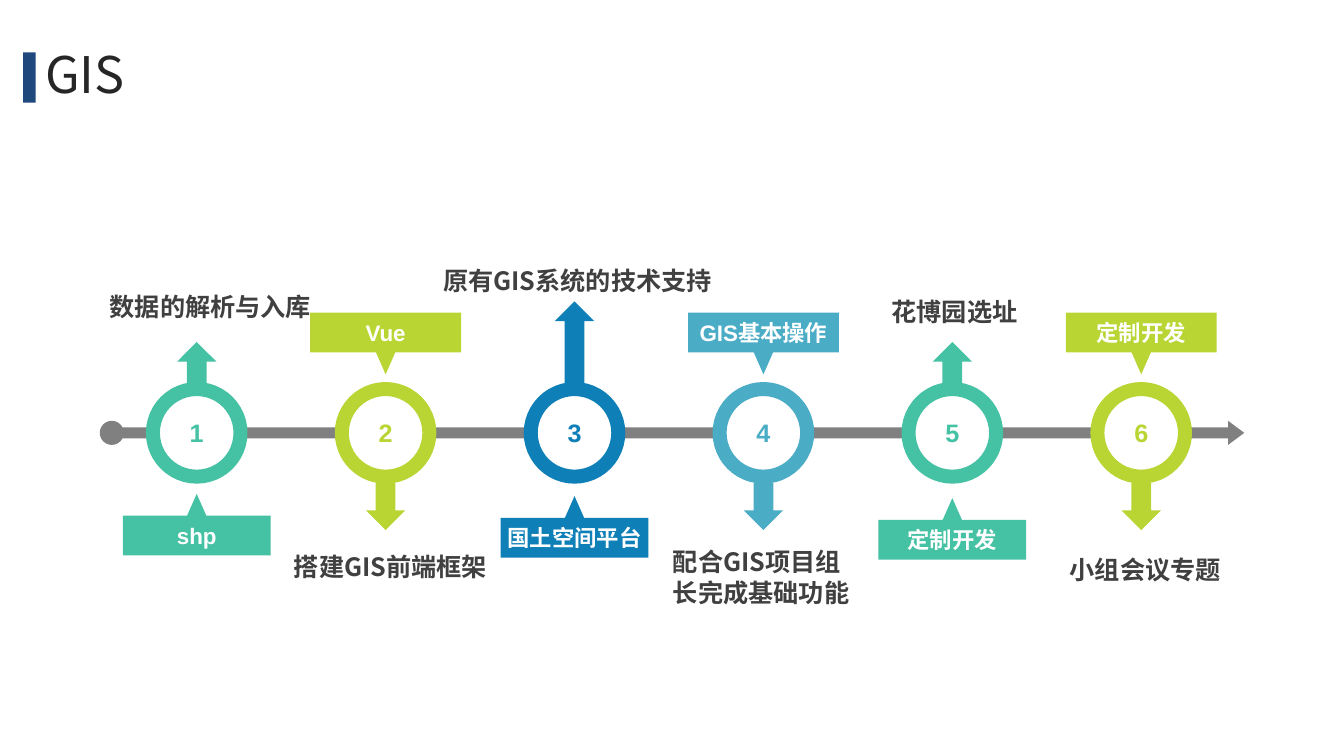
from collections import namedtuple

from lxml.etree import SubElement
from pptx import Presentation
from pptx.dml.color import RGBColor
from pptx.enum.shapes import MSO_SHAPE
from pptx.enum.text import MSO_ANCHOR, PP_ALIGN
from pptx.oxml.ns import qn
from pptx.util import Pt

WHITE = RGBColor(0xFF, 0xFF, 0xFF)
GRAY = RGBColor(0x80, 0x80, 0x80)
DARK = RGBColor(0x40, 0x40, 0x40)
INK = RGBColor(0x26, 0x26, 0x26)
NAVY = RGBColor(0x1F, 0x49, 0x7D)
TEAL = RGBColor(0x45, 0xC1, 0xA4)
LIME = RGBColor(0xB9, 0xD5, 0x33)
BLUE = RGBColor(0x0E, 0x7F, 0xB7)
SKY = RGBColor(0x4B, 0xAC, 0xC6)

LATIN = "Arial"
CJK = "Noto Sans CJK SC"

FIRST_X = 140.6
STEP_GAP = 135
AXIS_Y = 309.2
RING = 62.6
ARROW_WIDTH = 28.2
TAG_BODY = 28.4
TAG_TIP = 15.6

Step = namedtuple("Step", "color tag tag_y arrow note note_font note_box")

STEPS = [
    Step(TEAL, "shp", 352.8, 33.6, "数据的解析与入库", LATIN, (71.3, 204.5, 162.7, 28.8)),
    Step(LIME, "Vue", 223.4, 33.6, "搭建GIS前端框架", CJK, (203, 390.2, 159.8, 28.8)),
    Step(BLUE, "国土空间平台", 354.4, 62.6, "原有GIS系统的技术支持", CJK,
         (309.6, 185.8, 217.4, 28.8)),
    Step(SKY, "GIS基本操作", 223.4, 33.6, "配合GIS项目组长完成基础功能", CJK,
         (473.8, 386.6, 145.4, 51.1)),
    Step(TEAL, "定制开发", 355.8, 33.6, "花博园选址", LATIN, (630, 208.1, 135.4, 28.8)),
    Step(LIME, "定制开发", 223.4, 33.6, "小组会议专题", LATIN, (757.4, 392.4, 135.4, 28.8)),
]


def add_text(page, frame, text, size, color, font=LATIN, bold=True, align=PP_ALIGN.CENTER):
    """Add a wrapped, vertically centred text box and return its paragraph."""
    box = page.shapes.add_textbox(*map(Pt, frame))
    box.text_frame.word_wrap = True
    box.text_frame.vertical_anchor = MSO_ANCHOR.MIDDLE
    para = box.text_frame.paragraphs[0]
    para.alignment = align
    span = para.add_run()
    span.text = text
    span.font.name = font
    span.font.size = Pt(size)
    span.font.bold = bold
    span.font.color.rgb = color
    SubElement(span.font._element, qn("a:ea"), typeface=CJK)
    return para


def paint(shape, fill, line=None):
    """Give a shape a flat fill and an optional thick outline."""
    shape.shadow.inherit = False
    shape.fill.solid()
    shape.fill.fore_color.rgb = fill
    if line is None:
        shape.line.fill.background()
    else:
        shape.line.color.rgb = line
        shape.line.width = Pt(10)


def add_preset(page, kind, frame, fill, line=None):
    """Add a painted preset shape."""
    shape = page.shapes.add_shape(kind, *map(Pt, frame))
    paint(shape, fill, line)
    return shape


def add_tag(page, center, top, label, color, points_down):
    """Add a pointed label whose tip faces the axis."""
    half = 53.9 if points_down else 52.8
    tip = 6.9
    if points_down:
        far, base, peak = top, top + TAG_BODY, top + TAG_BODY + TAG_TIP
    else:
        far, base, peak = top + TAG_BODY + TAG_TIP, top + TAG_TIP, top
    outline = [(-half, far), (half, far), (half, base), (tip, base),
               (0, peak), (-tip, base), (-half, base)]
    points = [(Pt(center + dx), Pt(y)) for dx, y in outline]
    builder = page.shapes.build_freeform(*points[0])
    builder.add_line_segments(points[1:], close=True)
    paint(builder.convert_to_shape(), color)
    middle = (far + base) / 2
    add_text(page, (center - 61.9, middle - 13.3, 123.8, 26.6), label, 16, WHITE)


def add_step(page, index, step):
    """Add a numbered ring with its arrow, tag and note."""
    center = FIRST_X + index * STEP_GAP
    arrow_up = index % 2 == 0
    ring_top = AXIS_Y - RING / 2
    add_preset(page, MSO_SHAPE.OVAL, (center - RING / 2, ring_top, RING, RING), WHITE, step.color)
    kind = MSO_SHAPE.UP_ARROW if arrow_up else MSO_SHAPE.DOWN_ARROW
    arrow_top = ring_top - step.arrow if arrow_up else 345
    add_preset(page, kind, (center - ARROW_WIDTH / 2, arrow_top, ARROW_WIDTH, step.arrow),
               step.color)
    add_text(page, (center - 32, AXIS_Y - 14.4, 64, 28.8), str(index + 1), 18, step.color)
    add_tag(page, center, step.tag_y, step.tag, step.color, not arrow_up)
    add_text(page, step.note_box, step.note, 18, DARK, step.note_font, align=PP_ALIGN.LEFT)


def add_title(page):
    """Add the slide title and its accent bar."""
    para = add_text(page, (25.2, 26.6, 911.5, 56.9), "GIS", 36, INK, CJK, False, PP_ALIGN.LEFT)
    para.line_spacing = 0.9
    para.space_before = Pt(10)
    add_preset(page, MSO_SHAPE.RECTANGLE, (16.6, 37.4, 8.9, 36), NAVY)


def add_axis(page):
    """Add the timeline arrow and its starting dot."""
    axis = add_preset(page, MSO_SHAPE.RIGHT_ARROW, (86.4, AXIS_Y - 8.6, 802.8, 17.2), GRAY)
    axis.adjustments[0] = 0.45
    axis.adjustments[1] = 0.67
    add_preset(page, MSO_SHAPE.OVAL, (71.3, AXIS_Y - 8.6, 17.2, 17.2), GRAY)


def main():
    """Build the timeline slide and save it."""
    deck = Presentation()
    deck.slide_width = Pt(960.48)
    deck.slide_height = Pt(540)
    page = deck.slides.add_slide(deck.slide_layouts[6])
    add_title(page)
    add_axis(page)
    for index, step in enumerate(STEPS):
        add_step(page, index, step)
    deck.save("out.pptx")


if __name__ == "__main__":
    main()
